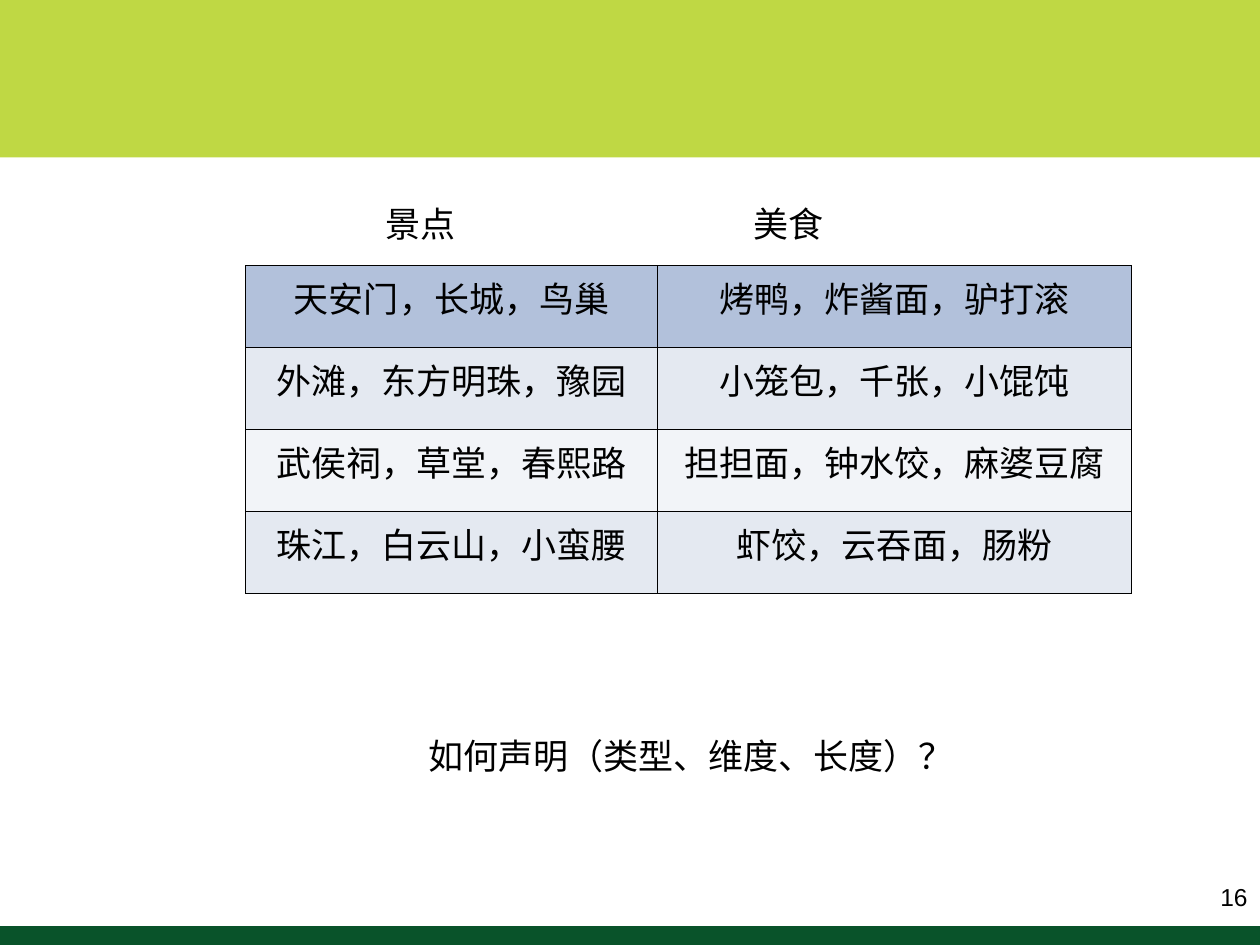
from lxml import etree
from pptx import Presentation
from pptx.dml.color import RGBColor
from pptx.enum import shapes, text
from pptx.oxml.ns import qn
from pptx.util import Inches, Pt

BLACK = "000000"
ROWS = [
    ("天安门，长城，鸟巢", "烤鸭，炸酱面，驴打滚"),
    ("外滩，东方明珠，豫园", "小笼包，千张，小馄饨"),
    ("武侯祠，草堂，春熙路", "担担面，钟水饺，麻婆豆腐"),
    ("珠江，白云山，小蛮腰", "虾饺，云吞面，肠粉"),
]
ROW_FILLS = ["B2C1DB", "E4E9F1", "F2F4F8", "E4E9F1"]
COLUMN_WIDTHS = [3.27, 3.76]
ROW_HEIGHT = 0.65


def color(hex_value):
    return RGBColor.from_string(hex_value)


def format_text(paragraph, align=text.PP_ALIGN.LEFT, **font_format):
    paragraph.alignment = align
    values = {"name": "Arial", "size": Pt(20), **font_format}
    for key, value in values.items():
        setattr(paragraph.font, key, value)
    paragraph.font.color.rgb = color(BLACK)


def add_band(slide, top, height, fill):
    band = slide.shapes.add_shape(
        shapes.MSO_SHAPE.RECTANGLE, 0, Inches(top), Inches(10), Inches(height))
    band.shadow.inherit = False
    band.fill.solid()
    band.fill.fore_color.rgb = color(fill)
    band.line.fill.background()


def add_label(slide, box, wording, tab=None, frame_format=None, **text_format):
    label = slide.shapes.add_textbox(*map(Inches, box))
    frame = label.text_frame
    for key, value in {"word_wrap": True, **(frame_format or {})}.items():
        setattr(frame, key, value)
    paragraph = frame.paragraphs[0]
    paragraph.text = wording
    if tab:
        tabs = etree.SubElement(paragraph._p.get_or_add_pPr(), qn("a:tabLst"))
        etree.SubElement(tabs, qn("a:tab"), pos=str(Inches(tab)), algn="l")
    format_text(paragraph, **text_format)


def add_borders(cell):
    # Borders come before the fill in the cell properties
    properties = cell._tc.get_or_add_tcPr()
    for index, side in enumerate(("lnL", "lnR", "lnT", "lnB")):
        border = etree.Element(qn(f"a:{side}"), w=str(Pt(0.45)))
        fill = etree.SubElement(border, qn("a:solidFill"))
        etree.SubElement(fill, qn("a:srgbClr"), val=BLACK)
        properties.insert(index, border)


def add_city_table(slide, left, top):
    table = slide.shapes.add_table(
        len(ROWS), len(COLUMN_WIDTHS), Inches(left), Inches(top),
        Inches(sum(COLUMN_WIDTHS)), Inches(ROW_HEIGHT * len(ROWS))).table
    for column, width in zip(table.columns, COLUMN_WIDTHS):
        column.width = Inches(width)
    for row, wordings, fill in zip(table.rows, ROWS, ROW_FILLS):
        row.height = Inches(ROW_HEIGHT)
        for cell, wording in zip(row.cells, wordings):
            cell.text = wording
            cell.fill.solid()
            cell.fill.fore_color.rgb = color(fill)
            add_borders(cell)
            format_text(cell.text_frame.paragraphs[0],
                        text.PP_ALIGN.CENTER, name="Calibri", bold=False)


def main():
    deck = Presentation()
    deck.slide_width, deck.slide_height = Inches(10), Inches(7.5)
    slide = deck.slides.add_slide(deck.slide_layouts[6])

    # Top and bottom bands, page number
    add_band(slide, 0, 1.25, "BFD844")
    add_band(slide, 7.35, 0.15, "09532A")
    add_label(slide, (9.14, 6.88, 0.86, 0.48), "16",
              frame_format={"vertical_anchor": text.MSO_ANCHOR.MIDDLE},
              align=text.PP_ALIGN.RIGHT, size=Pt(14))

    # Sights and food by city, with column headings above
    add_city_table(slide, 1.95, 2.11)
    fit = {"auto_size": text.MSO_AUTO_SIZE.SHAPE_TO_FIT_TEXT}
    add_label(slide, (2.96, 1.56, 4.46, 0.44), "景点\t美食", tab=2.92,
              frame_format=fit)

    # Question
    add_label(slide, (3.3, 5.78, 4.37, 0.44), "如何声明（类型、维度、长度）？",
              frame_format={**fit, "word_wrap": False})

    deck.save("out.pptx")


if __name__ == "__main__":
    main()
